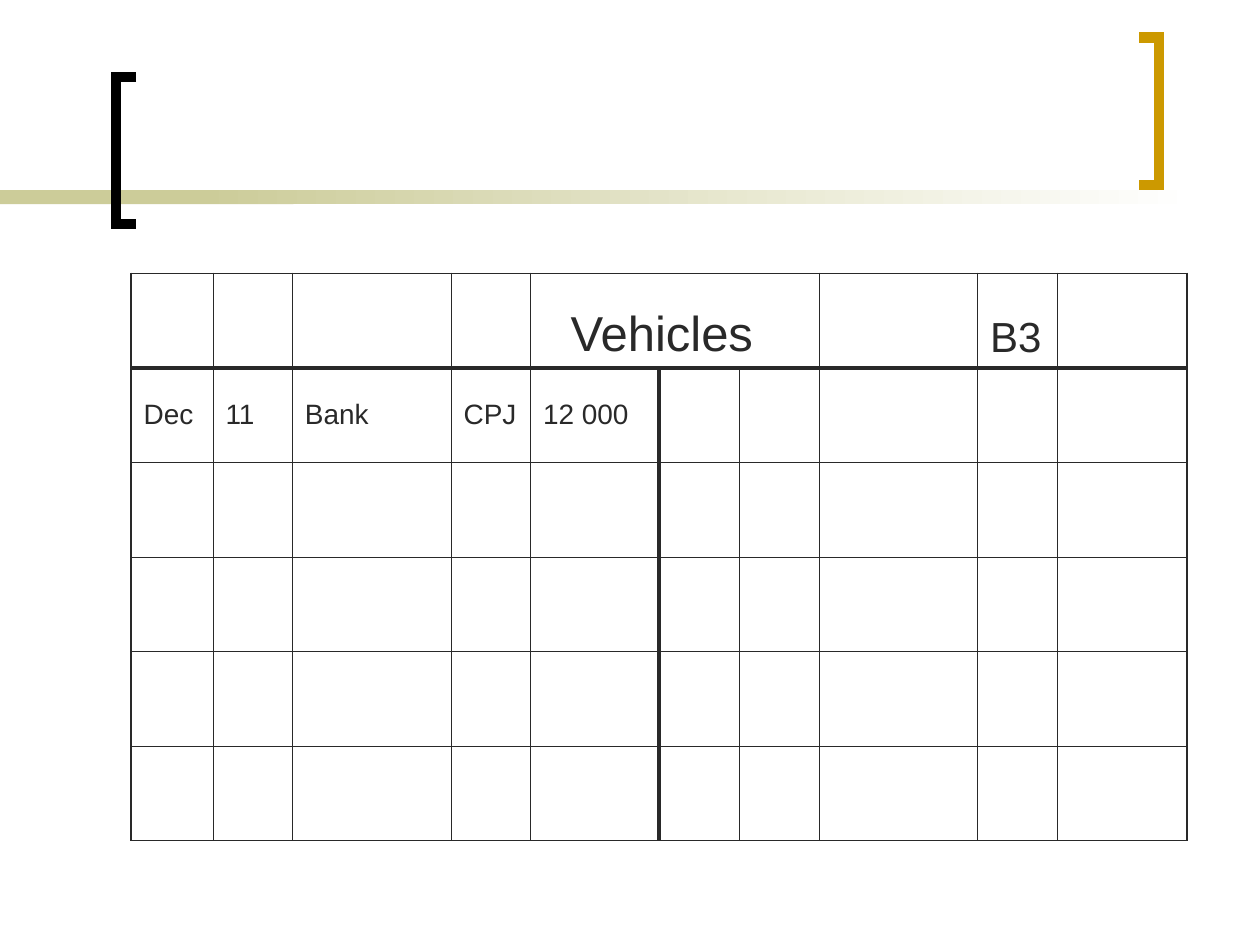
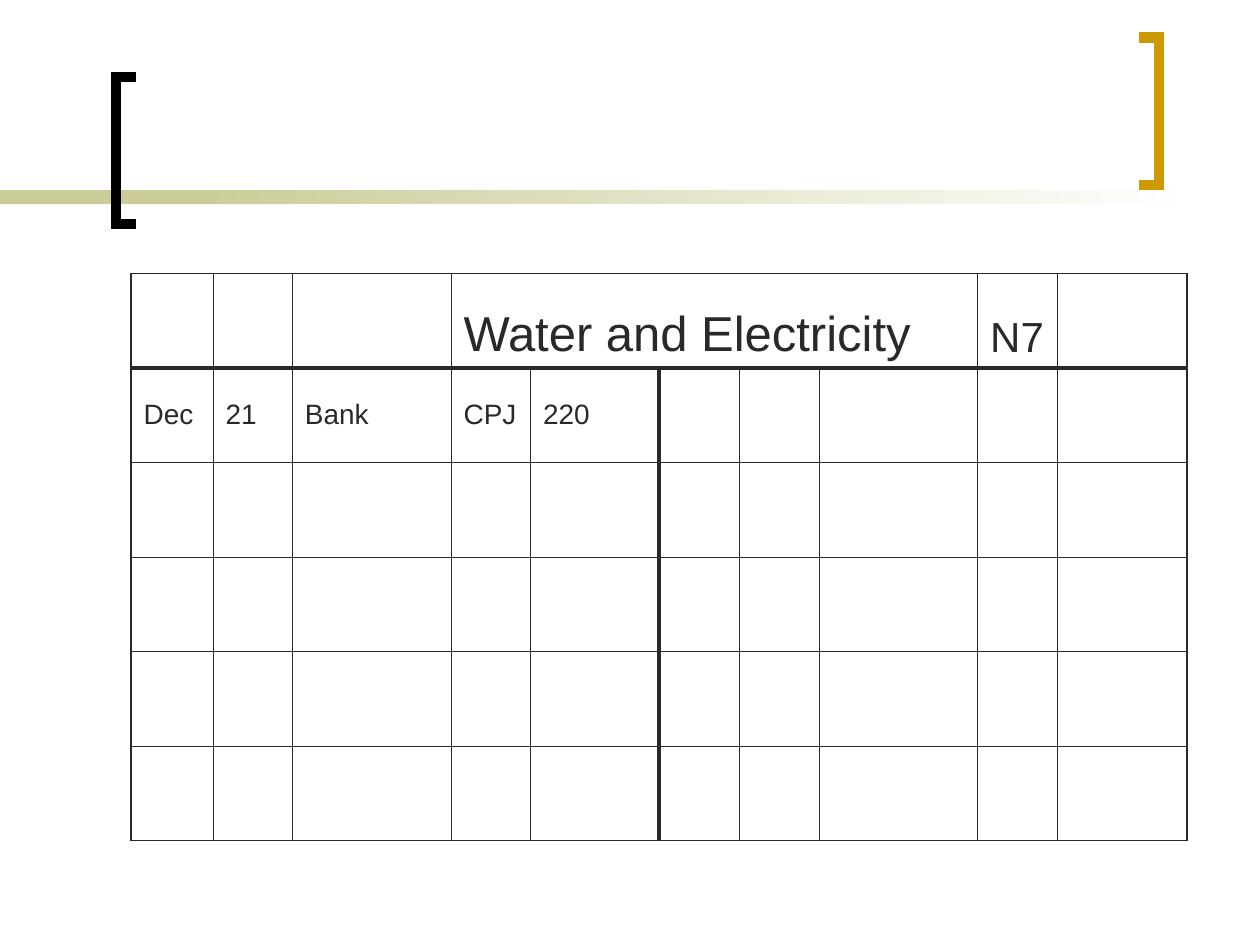
from dataclasses import dataclass

from lxml import etree
from pptx import Presentation
from pptx.dml.color import RGBColor
from pptx.enum.shapes import MSO_SHAPE
from pptx.enum.text import MSO_ANCHOR
from pptx.oxml.ns import qn
from pptx.util import Inches, Pt

RECTANGLE = MSO_SHAPE.RECTANGLE
BOTTOM, MIDDLE = MSO_ANCHOR.BOTTOM, MSO_ANCHOR.MIDDLE
BLANK_LAYOUT = 6


@dataclass(frozen=True)
class Theme:
    font: str = "Arial"
    ink: str = "292929"
    paper: str = "FFFFFF"
    band: str = "CCCC99"
    left_bracket: str = "000000"
    right_bracket: str = "CC9900"
    account_size: int = 28
    folio_size: int = 24
    entry_size: int = 16
    bracket_width: float = 6
    hairline: float = 0.45
    frame: float = 1.08
    heavy: float = 2.21


THEME = Theme()

# Each side of a T-account: month, day, details, folio, amount.
COLUMN_WIDTHS = [0.65, 0.63, 1.26, 0.63, 1.02, 0.64, 0.63, 1.26, 0.63, 1.03]
ROW_COUNT, ROW_HEIGHT = 6, 0.75
LEDGER_LEFT, LEDGER_TOP = 1.04, 2.17
CREDIT_COLUMN = len(COLUMN_WIDTHS) // 2
FOLIO_COLUMN = 8
BAND_TOP, BAND_HEIGHT = 1.51, 0.11
BRACKET_DEPTH, BRACKET_HEIGHT = 0.16, 1.17


@dataclass(frozen=True)
class Account:
    name: str
    folio: str
    first_column: int
    last_column: int
    name_margin: float
    debit_entry: tuple


ACCOUNTS = [
    Account("Vehicles", "B3", 4, 6, 0.32, ("Dec", "11", "Bank", "CPJ", "12 000")),
    Account("Water and Electricity", "N7", 3, 7, 0.1, ("Dec", "21", "Bank", "CPJ", "220")),
]


def color(value):
    return RGBColor.from_string(value)


def add_band(slide, left, width):
    band = slide.shapes.add_shape(
        RECTANGLE, Inches(left), Inches(BAND_TOP), Inches(width), Inches(BAND_HEIGHT))
    band.shadow.inherit = False
    band.line.fill.background()
    return band.fill


def add_bracket(slide, spine, top, depth, line_color):
    """Draw a square bracket whose arms reach depth inches from the spine."""
    bottom = top + BRACKET_HEIGHT
    builder = slide.shapes.build_freeform(Inches(spine + depth), Inches(top))
    corners = [(spine, top), (spine, bottom), (spine + depth, bottom)]
    builder.add_line_segments([(Inches(x), Inches(y)) for x, y in corners], close=False)
    bracket = builder.convert_to_shape()
    bracket.shadow.inherit = False
    bracket.fill.background()
    bracket.line.color.rgb = color(line_color)
    bracket.line.width = Pt(THEME.bracket_width)
    outline = bracket.element.spPr.find(qn("a:ln"))
    etree.SubElement(outline, qn("a:miter"), lim="800000")


def add_header(slide):
    solid = add_band(slide, 0, 2.33)
    solid.solid()
    solid.fore_color.rgb = color(THEME.band)
    fade = add_band(slide, 1.58, 7.92)
    fade.gradient()
    fade.gradient_angle = 0
    for stop, value in zip(fade.gradient_stops, (THEME.band, THEME.paper)):
        stop.color.rgb = color(value)
    add_bracket(slide, 0.92, 0.61, BRACKET_DEPTH, THEME.left_bracket)
    add_bracket(slide, 9.2, 0.3, -BRACKET_DEPTH, THEME.right_bracket)


def column_rule(row, edge):
    """Weight of the vertical rule at a column edge."""
    if edge in (0, len(COLUMN_WIDTHS)):
        return THEME.frame
    return THEME.heavy if edge == CREDIT_COLUMN and row > 0 else THEME.hairline


def row_rule(edge):
    """Weight of the horizontal rule at a row edge."""
    if edge in (0, ROW_COUNT):
        return THEME.frame
    return THEME.heavy if edge == 1 else THEME.hairline


def format_cell(cell, row, column):
    properties = cell._tc.get_or_add_tcPr()
    weights = {
        "a:lnL": column_rule(row, column),
        "a:lnR": column_rule(row, column + 1),
        "a:lnT": row_rule(row),
        "a:lnB": row_rule(row + 1),
    }
    for tag, weight in weights.items():
        border = etree.SubElement(properties, qn(tag), w=str(Pt(weight)))
        fill = etree.SubElement(border, qn("a:solidFill"))
        etree.SubElement(fill, qn("a:srgbClr"), val=THEME.ink)
    cell.fill.background()


def write_cell(cell, text, size, anchor, left_margin=0.1):
    cell.vertical_anchor = anchor
    cell.margin_left = Inches(left_margin)
    run = cell.text_frame.paragraphs[0].add_run()
    run.text = text
    run.font.name = THEME.font
    run.font.size = Pt(size)
    run.font.color.rgb = color(THEME.ink)


def add_ledger(slide, account):
    frame = slide.shapes.add_table(
        ROW_COUNT, len(COLUMN_WIDTHS), Inches(LEDGER_LEFT), Inches(LEDGER_TOP),
        Inches(sum(COLUMN_WIDTHS)), Inches(ROW_COUNT * ROW_HEIGHT))
    table = frame.table
    table.first_row = table.horz_banding = False
    for column, width in zip(table.columns, COLUMN_WIDTHS):
        column.width = Inches(width)
    for row in range(ROW_COUNT):
        for column in range(len(COLUMN_WIDTHS)):
            format_cell(table.cell(row, column), row, column)

    name_cell = table.cell(0, account.first_column)
    name_cell.merge(table.cell(0, account.last_column))
    write_cell(name_cell, account.name, THEME.account_size, BOTTOM, account.name_margin)
    write_cell(table.cell(0, FOLIO_COLUMN), account.folio, THEME.folio_size, BOTTOM)
    for column, text in enumerate(account.debit_entry):
        write_cell(table.cell(1, column), text, THEME.entry_size, MIDDLE)


def main():
    presentation = Presentation()
    presentation.slide_width = Inches(10)
    presentation.slide_height = Inches(7.5)
    for account in ACCOUNTS:
        slide = presentation.slides.add_slide(presentation.slide_layouts[BLANK_LAYOUT])
        add_header(slide)
        add_ledger(slide, account)
    presentation.save("out.pptx")


if __name__ == "__main__":
    main()
